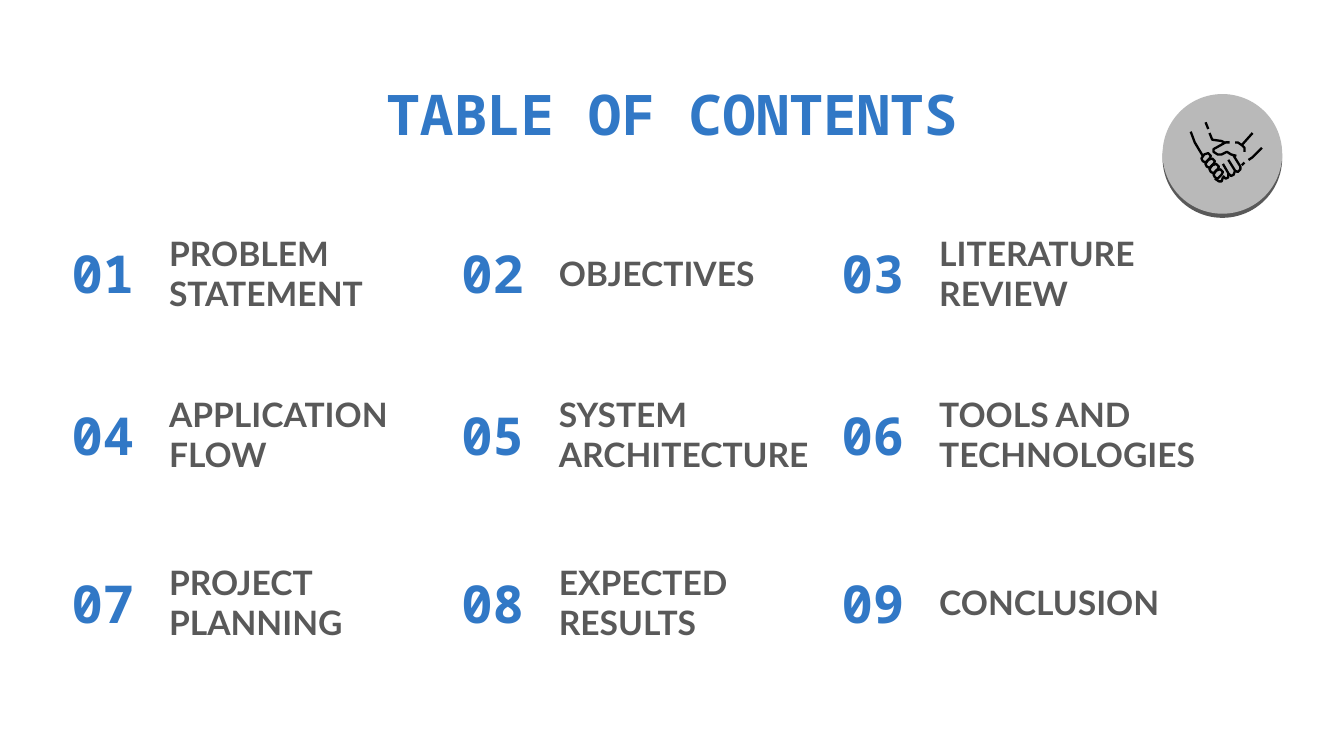
from lxml import etree
from pptx import Presentation
from pptx.dml.color import RGBColor
from pptx.enum.shapes import MSO_SHAPE
from pptx.enum.text import MSO_ANCHOR, MSO_AUTO_SIZE, PP_ALIGN
from pptx.oxml.ns import qn
from pptx.util import Inches, Pt

BLUE = RGBColor(0x31, 0x78, 0xC6)
DARK_GRAY = RGBColor(0x59, 0x59, 0x59)
LIGHT_GRAY = RGBColor(0xB9, 0xB9, 0xB9)
BLACK = RGBColor(0, 0, 0)
WHITE = RGBColor(255, 255, 255)

OVAL = MSO_SHAPE.OVAL
TOP, MIDDLE = MSO_ANCHOR.TOP, MSO_ANCHOR.MIDDLE
LEFT, CENTER = PP_ALIGN.LEFT, PP_ALIGN.CENTER
NO_AUTOFIT = MSO_AUTO_SIZE.NONE
TITLE_ONLY = 5

# The grid has 100 units to the inch.
UNIT = Inches(0.01)
SLIDE_WIDTH = 1000 * UNIT
SLIDE_HEIGHT = SLIDE_WIDTH * 9 // 16
COLUMNS = (37, 327, 610)
ROWS = (169, 289, 414)
NUMBER_WIDTH, LABEL_WIDTH, ENTRY_HEIGHT = 79, 224, 68

TOPICS = (
    "PROBLEM STATEMENT", "OBJECTIVES", "LITERATURE REVIEW",
    "APPLICATION FLOW", "SYSTEM ARCHITECTURE", "TOOLS AND TECHNOLOGIES",
    "PROJECT PLANNING", "EXPECTED RESULTS", "CONCLUSION",
)

# Strokes of the handshake badge, in grid units.
KNUCKLE = ((899, 114), (901, 116), (900, 118), (897, 121), (895, 120),
           (894, 118), (896, 115), (899, 114))
KNUCKLES = [[(x + 3 * i, y + 4 * i) for x, y in KNUCKLE] for i in range(4)]
CLASPED_HANDS = KNUCKLES + [
    ((904, 133), (907, 135), (909, 135), (910, 132)),
    ((886, 98), (889, 106), (895, 116)),
    ((900, 99), (902, 104), (909, 105), (911, 106)),
    ((915, 106), (912, 106), (903, 111), (903, 113), (906, 115),
     (909, 115), (913, 113), (916, 115), (920, 116)),
    ((918, 116), (923, 124), (923, 126), (921, 128), (919, 127), (914, 119)),
    ((919, 127), (918, 130), (916, 131), (914, 129), (910, 122)),
    ((914, 129), (914, 132), (912, 133), (910, 131)),
    ((924, 123), (926, 121)),
]
LOWER_SLEEVE = [((939, 110), (932, 117), (929, 119))]
UPPER_SLEEVE = [((897, 91), (899, 96))]
RIGHT_WRIST = [((932, 99), (924, 108), (926, 110), (926, 113)),
               ((919, 106), (921, 106), (924, 108))]


def write(frame, text, *, font, size, color, align=LEFT, anchor=MIDDLE):
    frame.word_wrap = True
    frame.auto_size = NO_AUTOFIT
    frame.vertical_anchor = anchor
    frame.margin_left = frame.margin_right = Inches(0.1)
    frame.margin_top = frame.margin_bottom = Inches(0.1)
    paragraph = frame.paragraphs[0]
    paragraph.alignment = align
    run = paragraph.add_run()
    run.text = text
    run.font.name = font
    run.font.size = Pt(size)
    run.font.bold = True
    run.font.color.rgb = color


class ContentsSlide:
    heading = {"font": "Noto Sans Mono", "color": BLUE, "align": CENTER}
    body = {"font": "Lato", "color": DARK_GRAY, "size": 18}

    def __init__(self, presentation):
        layout = presentation.slide_layouts[TITLE_ONLY]
        self.slide = presentation.slides.add_slide(layout)
        self.slide.background.fill.solid()
        self.slide.background.fill.fore_color.rgb = WHITE

    def title(self, text, *box):
        title = self.slide.shapes.title
        title.left, title.top, title.width, title.height = (
            length * UNIT for length in box)
        write(title.text_frame, text, size=30, anchor=TOP, **self.heading)

    def text(self, text, *box, **style):
        textbox = self.slide.shapes.add_textbox(
            *(length * UNIT for length in box))
        write(textbox.text_frame, text, **style)

    def entry(self, number, topic, left, top):
        self.text(f"{number:02}", left, top, NUMBER_WIDTH, ENTRY_HEIGHT,
                  size=28, **self.heading)
        self.text(topic, left + NUMBER_WIDTH, top, LABEL_WIDTH, ENTRY_HEIGHT,
                  **self.body)

    def disc(self, group, left, top, diameter):
        """Add a round plate with a hard shadow straight below it."""
        disc = group.shapes.add_shape(
            OVAL, left * UNIT, top * UNIT, diameter * UNIT, diameter * UNIT)
        disc.fill.solid()
        disc.fill.fore_color.rgb = LIGHT_GRAY
        disc.line.fill.background()
        disc.shadow.inherit = False
        effects = disc.element.spPr.find(qn("a:effectLst"))
        shadow = etree.SubElement(
            effects, qn("a:outerShdw"), blurRad="0", dist=str(Pt(2.2)),
            dir="5400000", algn="bl", rotWithShape="0")
        etree.SubElement(shadow, qn("a:srgbClr"), val=str(DARK_GRAY))

    def line_art(self, group, strokes):
        builder = group.shapes.build_freeform(*strokes[0][0], scale=UNIT)
        for start, *others in strokes:
            builder.move_to(*start)
            builder.add_line_segments(others, close=False)
        drawing = builder.convert_to_shape()
        drawing.fill.background()
        drawing.line.color.rgb = BLACK
        drawing.line.width = Pt(1.25)
        drawing.shadow.inherit = False

    def handshake_badge(self):
        badge = self.slide.shapes.add_group_shape()
        self.disc(badge, 865, 70, 89)
        for part in (CLASPED_HANDS, LOWER_SLEEVE, UPPER_SLEEVE, RIGHT_WRIST):
            self.line_art(badge, part)


def main():
    presentation = Presentation()
    presentation.slide_width = SLIDE_WIDTH
    presentation.slide_height = SLIDE_HEIGHT
    contents = ContentsSlide(presentation)
    contents.title("TABLE OF CONTENTS", 78, 49, 844, 63)
    for index, topic in enumerate(TOPICS):
        row, column = divmod(index, len(COLUMNS))
        contents.entry(index + 1, topic, COLUMNS[column], ROWS[row])
    contents.handshake_badge()
    presentation.save("out.pptx")


if __name__ == "__main__":
    main()
